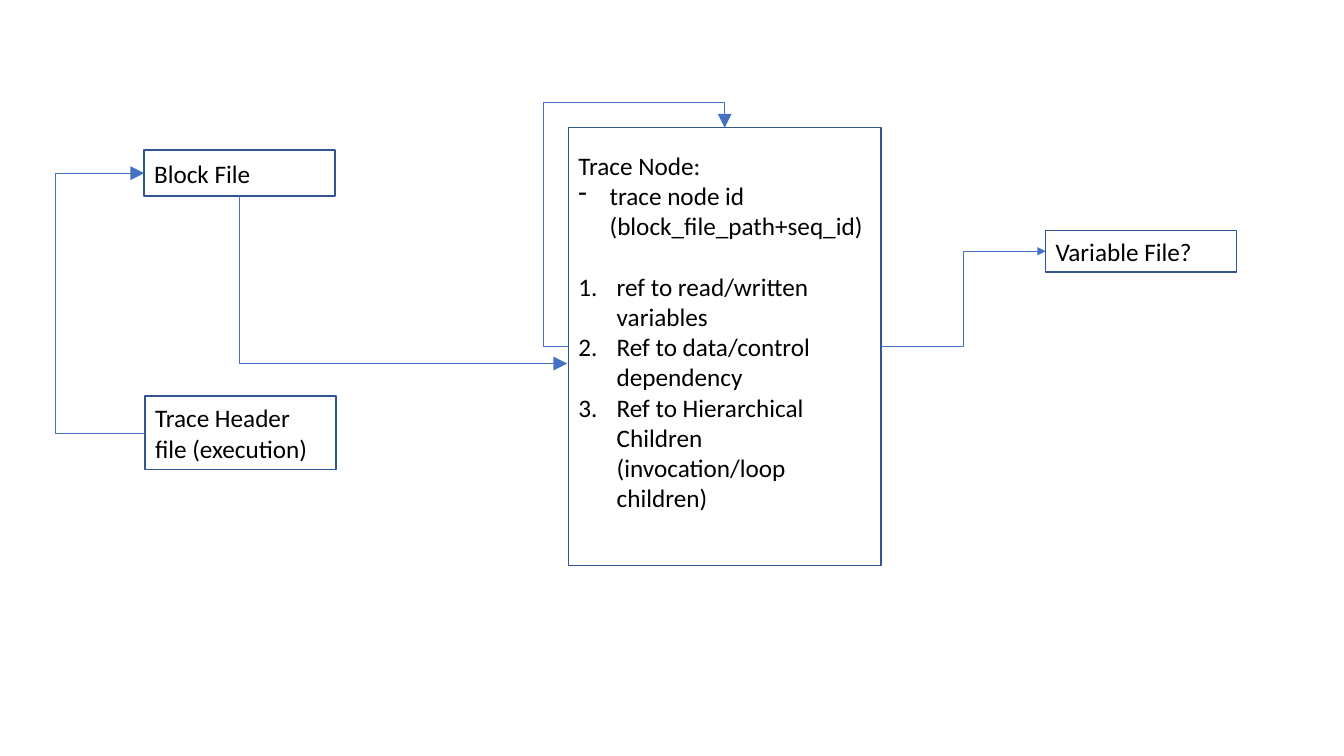
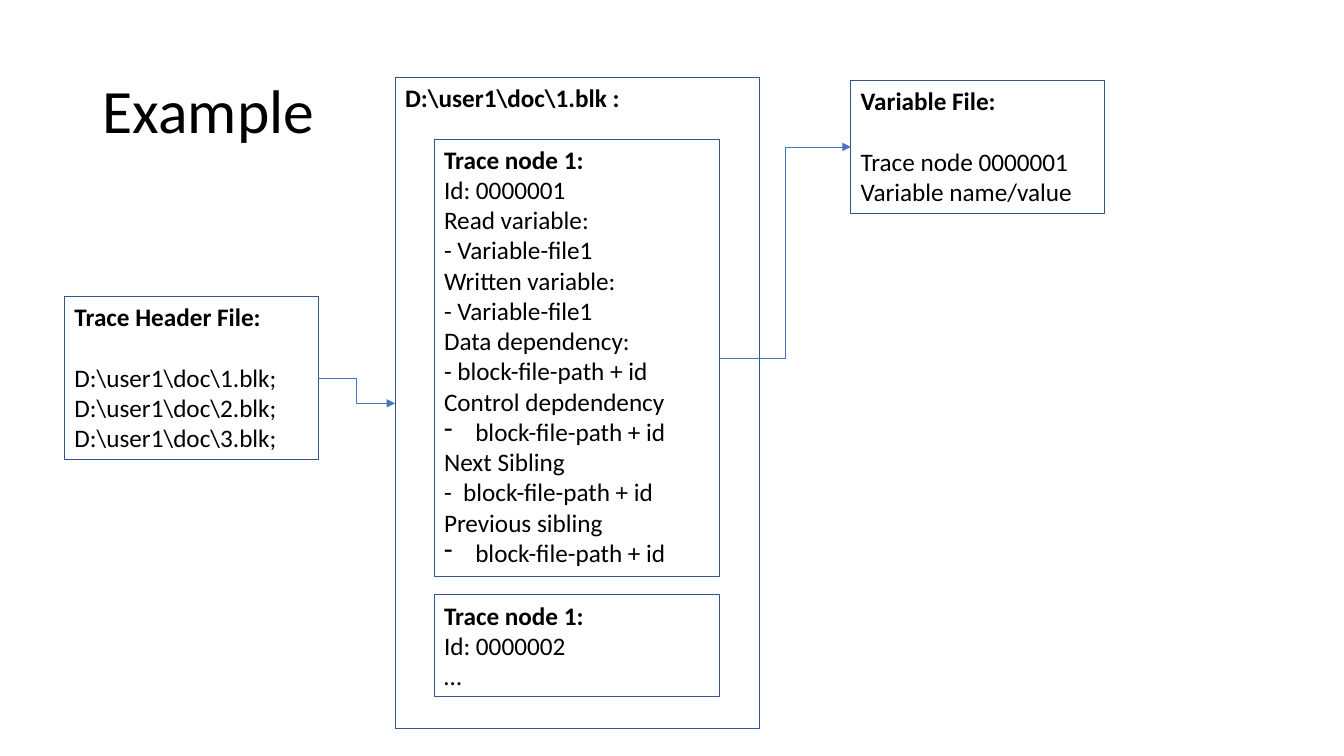
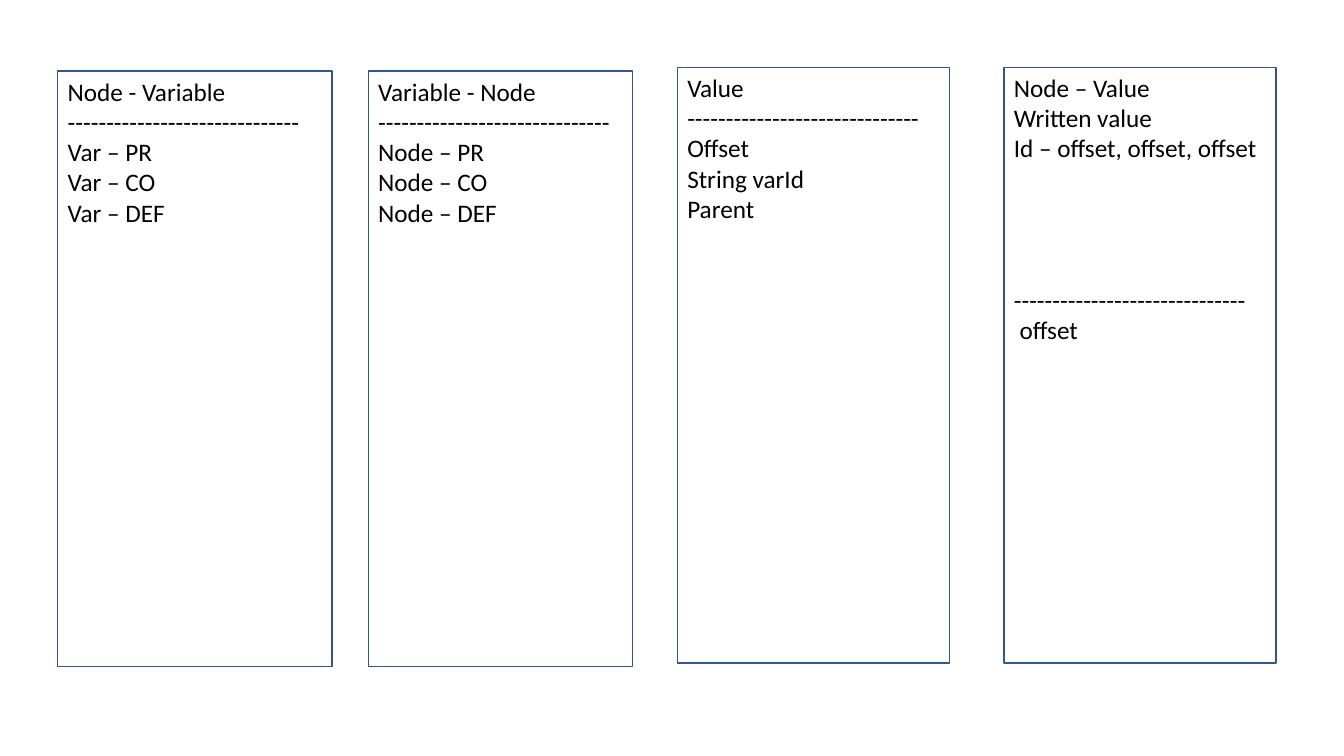
from dataclasses import dataclass

from lxml.etree import SubElement
from pptx import Presentation
from pptx.dml.color import RGBColor
from pptx.enum.shapes import MSO_CONNECTOR as Link, MSO_SHAPE as Preset
from pptx.enum.text import MSO_ANCHOR as Anchor, PP_ALIGN as Align
from pptx.oxml.ns import qn
from pptx.util import Inches, Pt

INK, OUTLINE, ARROW = "000000", "325491", "4472C4"
BODY = {"name": "Calibri", "size": Pt(18)}
HEADING = {"name": "Calibri", "size": Pt(44)}
BLANK_LINE = 21.6
RULE = "-" * 30
TOP, LEFT, BOTTOM, RIGHT = range(4)


@dataclass
class Box:
    """A rectangle in EMU."""
    left: int
    top: int
    width: int
    height: int

    def point(self, x, y):
        """Return the point at x and y percent of this box."""
        return (int(self.left + self.width * x / 100),
                int(self.top + self.height * y / 100))

    def inner(self, left, top, width, height):
        """Return the inner box given in percent of this box."""
        return Box(*self.point(left, top),
                   int(self.width * width / 100), int(self.height * height / 100))

    def edges(self):
        """Return the four arguments that place a shape."""
        return self.left, self.top, self.width, self.height


@dataclass
class Line:
    """One paragraph; gap counts the empty lines above it."""
    text: str
    bold: bool = False
    bullet: str = ""
    gap: int = 0


def color(hex_value):
    """Turn a hex string into a colour."""
    return RGBColor.from_string(hex_value)


def set_values(target, values):
    """Set every attribute named in values."""
    for name, value in values.items():
        setattr(target, name, value)


def add_bullet(para, bullet):
    """Give a paragraph a dash or a number with a hanging indent."""
    indent = Inches(0.31 if bullet == "-" else 0.38)
    props = para._p.get_or_add_pPr()
    props.set("marL", str(indent))
    props.set("indent", str(-indent))
    if bullet == "-":
        SubElement(props, qn("a:buFontTx"))
        SubElement(props, qn("a:buChar")).set("char", "-")
    else:
        SubElement(props, qn("a:buAutoNum")).set("type", "arabicPeriod")


def write(frame, lines, font=BODY):
    """Write the lines into a text frame, strings being plain lines."""
    for number, line in enumerate(lines):
        if isinstance(line, str):
            line = Line(line)
        para = frame.paragraphs[0] if number == 0 else frame.add_paragraph()
        set_values(para, {"alignment": Align.LEFT,
                          "space_before": Pt(BLANK_LINE * line.gap)})
        if line.bullet:
            add_bullet(para, line.bullet)
        span = para.add_run()
        span.text = line.text
        set_values(span.font, {**font, "bold": line.bold})
        span.font.color.rgb = color(INK)


def add_card(page, box, lines, weight=1.0, anchor=Anchor.TOP):
    """Draw an outlined rectangle holding text."""
    card = page.shapes.add_shape(Preset.RECTANGLE, *box.edges())
    card.shadow.inherit = False
    card.fill.background()
    card.line.color.rgb = color(OUTLINE)
    card.line.width = Pt(weight)
    set_values(card.text_frame, {"word_wrap": True, "vertical_anchor": anchor})
    write(card.text_frame, lines)
    return card


def add_arrow(page, start, end, via=(None, None), size="med", turned=False, corner=False):
    """Draw an elbow arrow between (card, site) pairs or a pair and a point.

    via holds the x and y of its bends; turned rotates its frame by half a turn,
    corner makes a single bend that leaves vertically.
    """
    arrow = page.shapes.add_connector(Link.ELBOW, 0, 0, 0, 0)
    arrow.begin_connect(*start)
    if isinstance(end[0], int):
        arrow.end_x, arrow.end_y = end
    else:
        arrow.end_connect(*end)
    arrow.line.color.rgb = color(ARROW)
    arrow.line.width = Pt(0.5)
    shape_props = arrow._element.spPr
    geometry = shape_props.find(qn("a:prstGeom"))
    frame = shape_props.find(qn("a:xfrm"))
    spans = ((arrow.begin_x, arrow.end_x), (arrow.begin_y, arrow.end_y))
    guides = geometry.find(qn("a:avLst"))
    if guides is None:
        guides = SubElement(geometry, qn("a:avLst"))
    for number, (bend, (first, last)) in enumerate(zip(via, spans), 1):
        if bend is not None:
            guide = SubElement(guides, qn("a:gd"))
            guide.set("name", f"adj{number}")
            guide.set("fmla", f"val {round((bend - first) / (last - first) * 100000)}")
    if via[1] is not None:
        geometry.set("prst", "bentConnector4")
    if turned:
        for flip in ("flipH", "flipV"):
            frame.set(flip, "0" if frame.get(flip) == "1" else "1")
        frame.set("rot", "10800000")
    if corner:
        geometry.set("prst", "bentConnector2")
        shift = (arrow.width - arrow.height) // 2
        set_values(arrow, {"left": arrow.left + shift, "top": arrow.top - shift,
                           "width": arrow.height, "height": arrow.width})
        frame.set("flipH", "1")
        frame.set("rot", "16200000")
    tip = SubElement(arrow.get_or_add_ln(), qn("a:tailEnd"))
    for name, value in {"type": "triangle", "w": size, "len": size}.items():
        tip.set(name, value)
    SubElement(shape_props, qn("a:effectLst"))


def add_structure(page, area):
    """Show how the files and the trace node refer to each other."""
    def card(place, *lines):
        return add_card(page, area.inner(*place), lines, anchor=Anchor.MIDDLE)

    node = card((42.3, 16.9, 23.25, 57.9), "Trace Node:",
                Line("trace node id (block_file_path+seq_id)", bullet="-"),
                Line("ref to read/written variables", bullet="1", gap=1),
                Line("Ref to data/control dependency", bullet="1"),
                Line("Ref to Hierarchical Children (invocation/loop children)", bullet="1"))
    node.text_frame.margin_bottom = Inches(0.35)
    variable = card((77.8, 30.5, 14.2, 5.5), "Variable File?")
    header = card((10.8, 52.4, 14.2, 9.75), "Trace Header file (execution)")
    block = card((10.73, 19.85, 14.2, 6.1), "Block File")

    add_arrow(page, (node, LEFT), (node, TOP), area.point(40.4, 13.6), "lg", turned=True)
    add_arrow(page, (node, RIGHT), (variable, LEFT))
    add_arrow(page, (block, BOTTOM), area.point(42.2, 48.1), size="lg", corner=True)
    add_arrow(page, (header, LEFT), (block, LEFT), (area.point(4.2, 0)[0], None),
              "lg", turned=True)


def add_example(page, area):
    """Show example files with their contents."""
    def card(place, title, *lines):
        return add_card(page, area.inner(*place), [Line(title, bold=True), *lines], 0.75)

    title = page.shapes.add_textbox(*area.inner(6.9, 5.3, 86.25, 19.3).edges()).text_frame
    set_values(title, {"word_wrap": True, "vertical_anchor": Anchor.MIDDLE})
    write(title, ["Example"], HEADING)
    title.paragraphs[0].line_spacing = 0.9

    entry = "block-file-path + id"
    dashed = Line(entry, bullet="-")
    files = [f"D:\\user1\\doc\\{number}.blk" for number in (1, 2, 3)]
    header = card((4.8, 39.2, 18.9, 21.6), "Trace Header File:",
                  Line(files[0] + ";", gap=1), *(name + ";" for name in files[1:]))
    block = card((29.4, 10.3, 27.1, 86.1), files[0] + " :")
    node = card((32.3, 18.4, 21.25, 57.9), "Trace node 1:", "Id: 0000001",
                "Read variable:", "- Variable-file1",
                "Written variable:", "- Variable-file1",
                "Data dependency:", "- " + entry,
                "Control depdendency", dashed,
                "Next Sibling", "-  " + entry,
                "Previous sibling", dashed)
    variable = card((63.3, 10.7, 18.9, 17.5), "Variable File:",
                    Line("Trace node 0000001", gap=1), "Variable name/value")
    add_arrow(page, (node, RIGHT), (variable, LEFT))
    add_arrow(page, (header, RIGHT), (block, LEFT))
    card((32.3, 78.7, 21.25, 13.5), "Trace node 1:", "Id: 0000002", "…")


def add_tables(page, area):
    """Show the four record layouts side by side."""
    kinds = ("PR", "CO", "DEF")
    columns = [
        (4.3, 9.4, 20.4, ["Node - Variable", RULE, *(f"Var – {kind}" for kind in kinds)]),
        (27.4, 9.4, 19.65, ["Variable - Node", RULE, *(f"Node – {kind}" for kind in kinds)]),
        (50.4, 8.9, 20.25, ["Value", RULE, "Offset", "String varId", "Parent"]),
        (74.7, 8.9, 20.25, ["Node – Value", "Written value", "Id – offset, offset, offset",
                            Line(RULE, gap=4), " offset"]),
    ]
    for left, top, width, lines in columns:
        add_card(page, area.inner(left, top, width, 78.8), lines)


def main():
    """Build the deck and save it."""
    deck = Presentation()
    set_values(deck, {"slide_width": Inches(13.33), "slide_height": Inches(7.5)})
    area = Box(0, 0, deck.slide_width, deck.slide_height)
    for build in (add_structure, add_example, add_tables):
        build(deck.slides.add_slide(deck.slide_layouts[6]), area)
    deck.save("out.pptx")


main()
